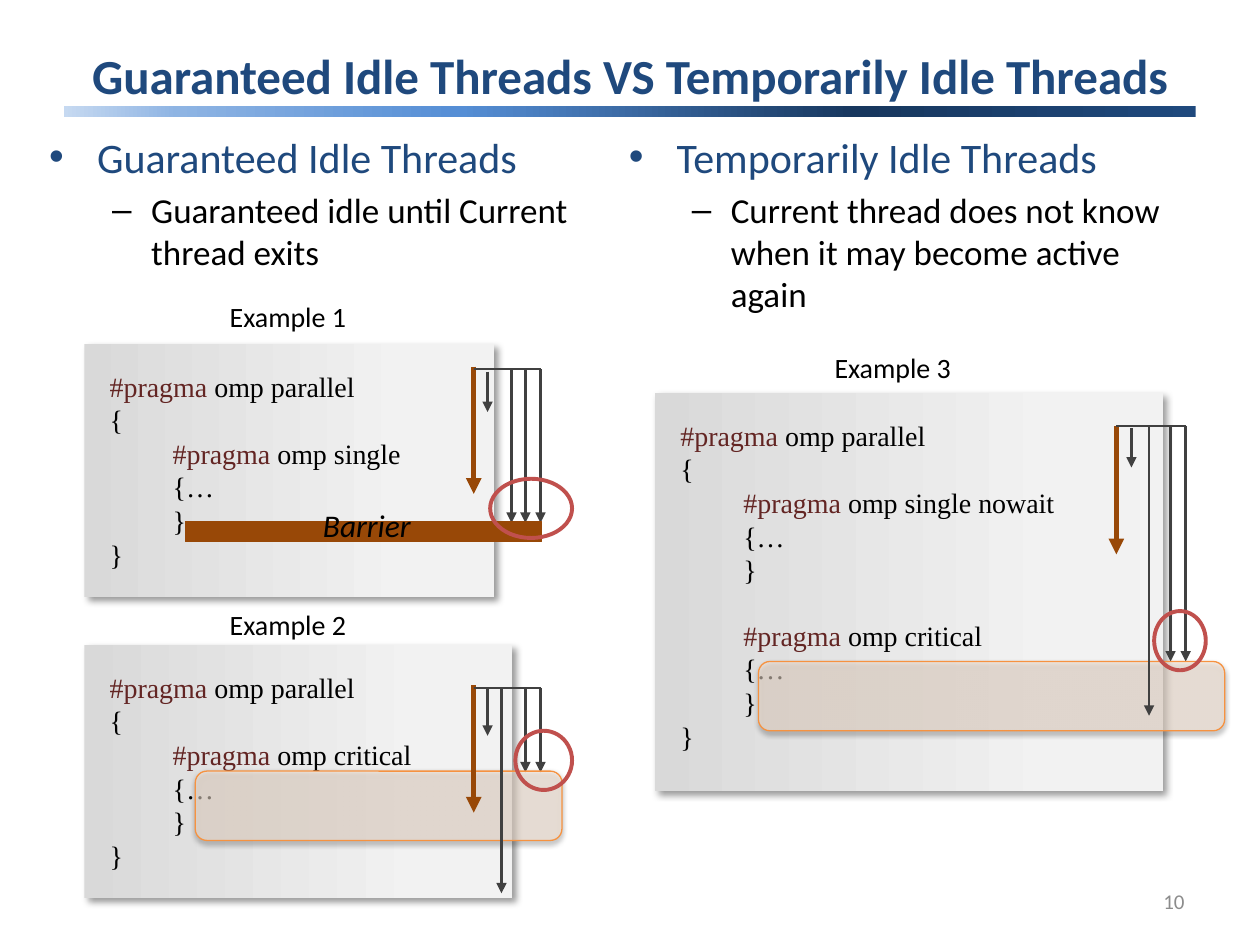
from lxml.etree import SubElement
from pptx import Presentation
from pptx.dml.color import RGBColor
from pptx.enum.shapes import MSO_CONNECTOR, MSO_SHAPE as Shape
from pptx.enum.text import MSO_ANCHOR as Anchor, MSO_AUTO_SIZE as AutoSize, PP_ALIGN as Align
from pptx.oxml.ns import qn
from pptx.util import Inches, Pt

COLORS = {"navy": "1F497D", "black": "000000", "directive": "632523", "main": "984807",
          "idle": "404040", "critical": "FDEADA", "critical_edge": "F69240",
          "highlight": "C0504D", "number": "8C8C8C"}
BAR_STOPS = [(0, "1F497D"), (30, "17375E"), (65, "558ED5"), (90, "8EB4E3"), (100, "C6D9F1")]
PANEL_STOPS = [(0, "D9D9D9"), (79, "F2F2F2"), (100, "F2F2F2")]
SANS, SERIF = "Calibri", "Times New Roman"
CODE_LINE = Pt(18.4)

TITLE = "Guaranteed Idle Threads VS Temporarily Idle Threads"
COLUMNS = [
    ((0.35, 0.99, 4.56, 5.71), "Guaranteed Idle Threads",
     "Guaranteed idle until Current thread exits"),
    ((4.95, 0.99, 4.61, 5.58), "Temporarily Idle Threads",
     "Current thread does not know when it may become active again"),
]


def parallel_code(*directives):
    """Code lines (level, directive, rest, gap before) of a parallel region."""
    lines = [(0, "#pragma ", "omp parallel", False), (0, "", "{", False)]
    for position, directive in enumerate(directives):
        lines += [(1, "#pragma ", directive, position > 0),
                  (1, "", "{…", False), (1, "", "}", False)]
    return lines + [(0, "", "}", False)]


# Threads are (x, top, bottom); the fork is the line they all start from.
EXAMPLES = [
    {"label": ("Example 3", 6.26, 2.73), "panel": (5.2, 3.12, 4.03, 3.16),
     "code": parallel_code("omp single nowait", "omp critical"),
     "main": (8.86, 3.38, 4.4), "fork": (8.86, 9.41, 3.38),
     "idle": [(8.98, 3.4, 3.71), (9.29, 3.39, 5.25), (9.41, 3.38, 5.25)],
     "critical": (6.02, 5.25, 3.7, 0.55), "active": (9.12, 3.38, 5.68),
     "highlight": (9.16, 4.85, 0.41, 0.47)},
    {"label": ("Example 1", 1.46, 2.33), "panel": (0.67, 2.73, 3.25, 2.01),
     "code": parallel_code("omp single"),
     "main": (3.76, 2.91, 3.92), "fork": (3.76, 4.29, 2.93),
     "idle": [(3.87, 2.95, 3.27)] + [(x, 2.93, 4.15) for x in (4.06, 4.17, 4.29)],
     "barrier": (1.47, 4.14, 2.83, 0.16), "highlight": (3.89, 3.8, 0.65, 0.47)},
    {"label": ("Example 2", 1.46, 4.77), "panel": (0.67, 5.12, 3.39, 2.01),
     "code": parallel_code("omp critical"),
     "main": (3.76, 5.44, 6.45), "fork": (3.76, 4.29, 5.46),
     "idle": [(3.87, 5.46, 5.84), (4.17, 5.46, 6.13), (4.29, 5.46, 6.13)],
     "critical": (1.55, 6.12, 2.91, 0.55), "active": (3.98, 5.46, 7.09),
     "highlight": (4.09, 5.8, 0.45, 0.47)},
]


def rgb(name):
    return RGBColor.from_string(COLORS[name])


def add_run(paragraph, text, size, color, face=SANS, bold=False, italic=False):
    run = paragraph.add_run()
    run.text = text
    font = run.font
    font.size, font.name, font.bold, font.italic = Pt(size), face, bold, italic
    font.color.rgb = rgb(color)


def place(shape, box):
    shape.left, shape.top, shape.width, shape.height = map(Inches, box)


def set_insets(frame, side, vertical):
    frame.margin_left = frame.margin_right = Inches(side)
    frame.margin_top = frame.margin_bottom = Inches(vertical)


def set_indent(paragraph, margin, first_line):
    properties = paragraph._p.get_or_add_pPr()
    properties.set("marL", str(Inches(margin)))
    properties.set("indent", str(Inches(first_line)))


def add_block(parent, kind, box, fill=None, line=None, width=0.75):
    block = parent.add_shape(kind, *map(Inches, box))
    block.shadow.inherit = False
    if fill:
        block.fill.solid()
        block.fill.fore_color.rgb = rgb(fill)
    else:
        block.fill.background()
    if line:
        block.line.color.rgb = rgb(line)
        block.line.width = Pt(width)
    else:
        block.line.fill.background()
    return block


def set_gradient(block, stops, angle):
    block.fill.gradient()
    block.fill.gradient_angle = angle
    stop_list = block._element.spPr.find(".//" + qn("a:gsLst"))
    for old in list(stop_list):
        stop_list.remove(old)
    for position, color in stops:
        stop = SubElement(stop_list, qn("a:gs"), pos=str(position * 1000))
        SubElement(stop, qn("a:srgbClr"), val=color)


def set_shadow(block, alpha, blur, distance, angle):
    effects = block._element.spPr.find(qn("a:effectLst"))
    shadow = SubElement(effects, qn("a:outerShdw"), blurRad=str(Pt(blur)), dist=str(Pt(distance)),
                        dir=str(angle * 60000), algn="tl", rotWithShape="0")
    color = SubElement(shadow, qn("a:srgbClr"), val=COLORS["black"])
    SubElement(color, qn("a:alpha"), val=str(alpha * 1000))


def add_line(parent, start, end, color="idle", width=1.5, arrow=True):
    line = parent.add_connector(MSO_CONNECTOR.STRAIGHT, *map(Inches, start + end))
    line.line.color.rgb = rgb(color)
    line.line.width = Pt(width)
    properties = line._element.spPr
    if arrow:
        SubElement(properties.find(qn("a:ln")), qn("a:tailEnd"), type="triangle")
    SubElement(properties, qn("a:effectLst"))


def add_thread(parent, thread, **style):
    x, top, bottom = thread
    add_line(parent, (x, top), (x, bottom), **style)


def add_label(parent, box, text, size, align, color="black", italic=False, anchor=Anchor.TOP):
    frame = parent.add_textbox(*map(Inches, box)).text_frame
    frame.word_wrap = True
    frame.vertical_anchor = anchor
    frame.paragraphs[0].alignment = align
    add_run(frame.paragraphs[0], text, size, color, italic=italic)


def add_code_panel(parent, box, code):
    panel = add_block(parent, Shape.RECTANGLE, box)
    set_gradient(panel, PANEL_STOPS, 0)
    set_shadow(panel, 40, 4, 3, 45)
    frame = panel.text_frame
    frame.word_wrap = True
    frame.vertical_anchor = Anchor.TOP
    set_insets(frame, 0.2, 0.2)
    for number, (level, directive, rest, gap) in enumerate(code):
        paragraph = frame.add_paragraph() if number else frame.paragraphs[0]
        paragraph.alignment = Align.LEFT
        paragraph.level = level
        set_indent(paragraph, 0.5 * level, 0)
        if gap:
            paragraph.space_before = CODE_LINE
        if directive:
            add_run(paragraph, directive, 16, "directive", SERIF)
        add_run(paragraph, rest, 16, "black", SERIF)


def add_example(parent, example):
    add_code_panel(parent, example["panel"], example["code"])
    for thread in example["idle"]:
        add_thread(parent, thread)
    if "critical" in example:
        section = add_block(parent, Shape.ROUNDED_RECTANGLE, example["critical"],
                            "critical", "critical_edge")
        fill_color = section._element.spPr.find(qn("a:solidFill"))[0]
        SubElement(fill_color, qn("a:alpha"), val="52000")
        set_shadow(section, 38, 3.1, 1.6, 90)
        add_thread(parent, example["active"])
    add_thread(parent, example["main"], color="main", width=3)
    left, right, y = example["fork"]
    add_line(parent, (left, y), (right, y), arrow=False)
    if "barrier" in example:
        add_block(parent, Shape.RECTANGLE, example["barrier"], "main", "main")
        add_label(parent, (2.1, 3.97, 1.26, 0.4), "Barrier", 18, Align.RIGHT, italic=True)


def main():
    deck = Presentation()
    deck.slide_width, deck.slide_height = Inches(10), Inches(7.5)
    slide = deck.slides.add_slide(deck.slide_layouts[3])
    shapes = slide.shapes
    title, *bodies = slide.placeholders

    bar = add_block(shapes, Shape.RECTANGLE, (0.51, 0.84, 8.98, 0.09))
    set_gradient(bar, BAR_STOPS, 180)
    place(title, (0.5, 0.3, 9, 0.59))
    title.text_frame.vertical_anchor = Anchor.MIDDLE
    title.text_frame.auto_size = AutoSize.NONE
    title.text_frame.paragraphs[0].alignment = Align.CENTER
    add_run(title.text_frame.paragraphs[0], TITLE, 28, "navy", bold=True)

    for body, (box, heading, detail) in zip(bodies, COLUMNS):
        place(body, box)
        frame = body.text_frame
        frame.auto_size = AutoSize.NONE
        set_insets(frame, 0.04, 0.05)
        first, second = frame.paragraphs[0], frame.add_paragraph()
        first.space_before = Pt(0)
        second.level = 1
        set_indent(first, 0.38, -0.38)
        set_indent(second, 0.81, -0.31)
        add_run(first, heading, 24, "navy")
        add_run(second, detail, 20, "black")

    for example in EXAMPLES:
        add_example(shapes.add_group_shape().shapes, example)
    for example in EXAMPLES:
        add_block(shapes, Shape.OVAL, example["highlight"], line="highlight", width=2.25)
        text, left, top = example["label"]
        add_label(shapes, (left, top, 1.65, 0.37), text, 16, Align.CENTER)
    add_label(shapes, (7.17, 6.95, 2.33, 0.4), "10", 12, Align.RIGHT, "number",
              anchor=Anchor.MIDDLE)
    deck.save("out.pptx")


if __name__ == "__main__":
    main()
